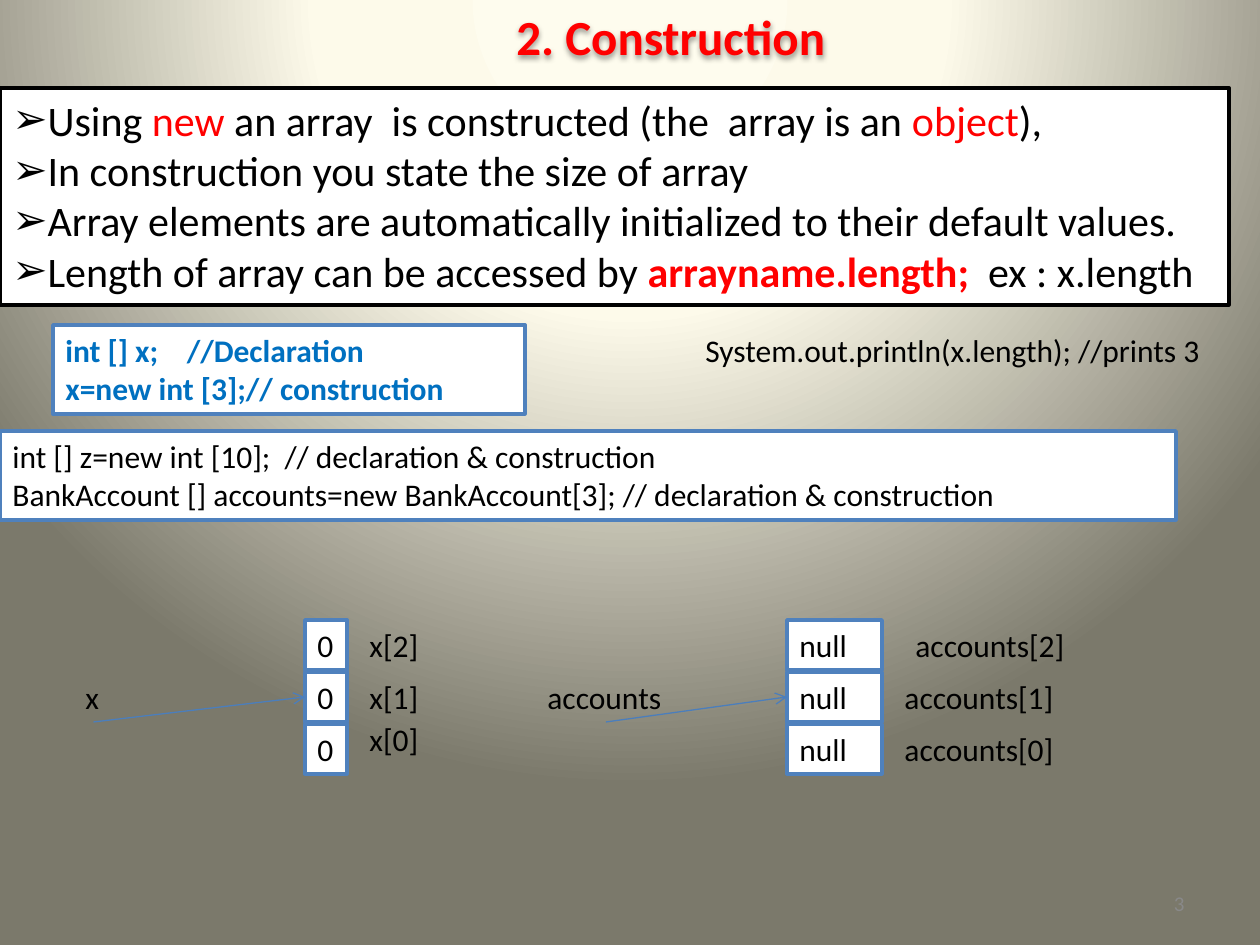
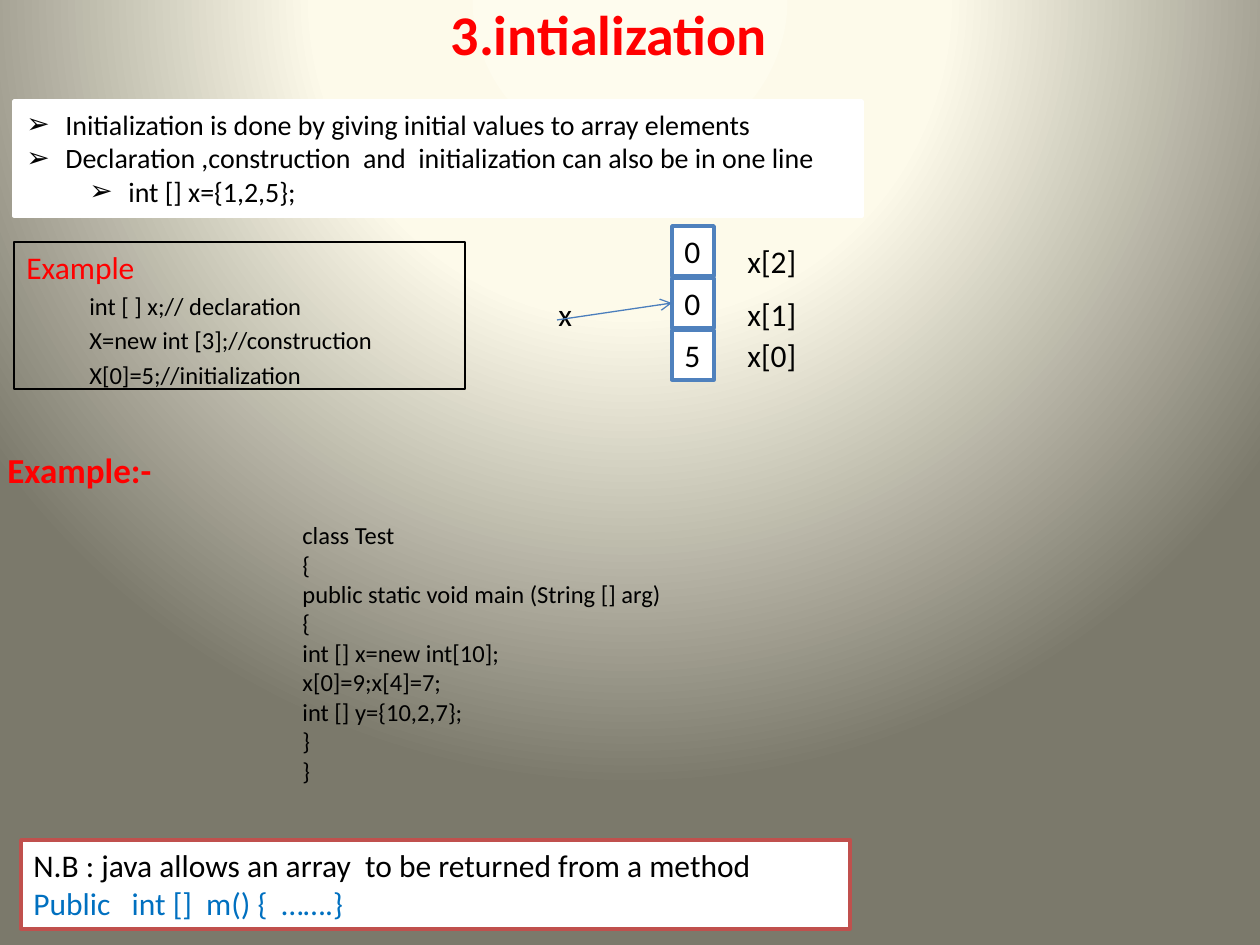
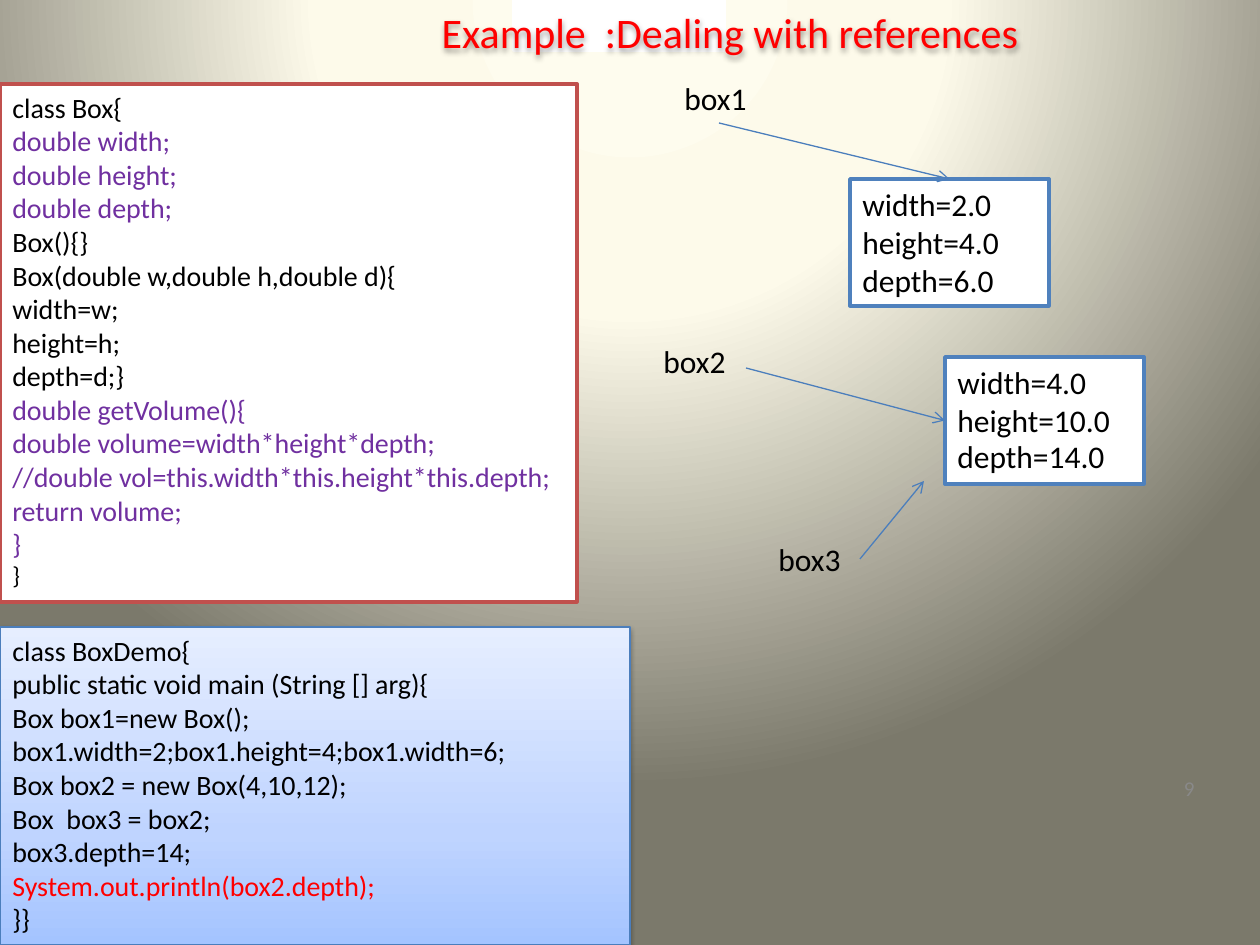
from pptx import Presentation
from pptx.dml.color import RGBColor
from pptx.enum.shapes import MSO_CONNECTOR, MSO_SHAPE
from pptx.enum.text import MSO_ANCHOR, PP_ALIGN
from pptx.oxml import parse_xml
from pptx.oxml.ns import nsdecls, qn
from pptx.util import Pt

PX = 7257.14
FONT = "Calibri"
BLACK = RGBColor(0x00, 0x00, 0x00)
WHITE = RGBColor(0xFF, 0xFF, 0xFF)
RED = RGBColor(0xFF, 0x00, 0x00)
CODE_BLUE = RGBColor(0x00, 0x70, 0xC0)
PURPLE = RGBColor(0x70, 0x30, 0xA0)
EDGE_BLUE = RGBColor(0x4F, 0x81, 0xBD)
EDGE_RED = RGBColor(0xC0, 0x50, 0x4D)
ARROW_BLUE = RGBColor(0x4B, 0x7E, 0xBC)
NUMBER_GRAY = RGBColor(0x89, 0x89, 0x89)
BACKDROP_STOPS = [
    (0, RGBColor(0xFE, 0xFC, 0xEE)),
    (40, RGBColor(0xFD, 0xFA, 0xEA)),
    (100, RGBColor(0x7B, 0x79, 0x6B)),
]
BACKDROP_PATH = (
    '<a:path path="circle">'
    '<a:fillToRect l="50000" t="-80000" r="50000" b="180000"/></a:path>'
)
DEMO_STOPS = [
    (0, RGBColor(0xA4, 0xC4, 0xFF)),
    (35, RGBColor(0xBF, 0xD4, 0xFF)),
    (100, RGBColor(0xE6, 0xEE, 0xFF)),
]
UPWARD = '<a:lin ang="16200000" scaled="0"/>'
TOP, LEFT, BOTTOM, RIGHT = range(4)
CELL_HEIGHT, CELL_PITCH = 50, 52


def emu(px):
    return round(px * PX)


def set_gradient(fill, element, stops, direction):
    fill.gradient()
    marks = "".join(
        f'<a:gs pos="{at * 1000}"><a:srgbClr val="{color}"/></a:gs>' for at, color in stops
    )
    plain = element.find(".//" + qn("a:gradFill"))
    plain.getparent().replace(plain, parse_xml(
        f'<a:gradFill {nsdecls("a")} rotWithShape="1">'
        f"<a:gsLst>{marks}</a:gsLst>{direction}</a:gradFill>"
    ))


def add_slide(deck):
    slide = deck.slides.add_slide(deck.slide_layouts[6])
    set_gradient(slide.background.fill, slide.element, BACKDROP_STOPS, BACKDROP_PATH)
    return slide


def add_shadow(shape):
    shape.shadow.inherit = False
    shape.element.spPr.find(qn("a:effectLst")).append(parse_xml(
        f'<a:outerShdw {nsdecls("a")} blurRad="39400" dist="20300" dir="5400000" '
        'rotWithShape="0"><a:srgbClr val="000000"><a:alpha val="38000"/>'
        "</a:srgbClr></a:outerShdw>"
    ))


def write(shape, lines, size=18, color=BLACK, bold=False, align=PP_ALIGN.LEFT):
    frame = shape.text_frame
    frame.word_wrap = True
    frame.vertical_anchor = MSO_ANCHOR.TOP
    for index, line in enumerate(lines):
        paragraph = frame.paragraphs[0] if index == 0 else frame.add_paragraph()
        paragraph.alignment = align
        for part in [(line,)] if isinstance(line, str) else line:
            words, *style = part
            tint, heavy, points = style + [color, bold, size][len(style):]
            run = paragraph.add_run()
            run.text = words
            run.font.name = FONT
            run.font.size = Pt(points)
            run.font.bold = heavy
            run.font.color.rgb = tint


def add_label(slide, at, *lines, **style):
    label = slide.shapes.add_textbox(*map(emu, at))
    write(label, lines, **style)
    return label


def add_box(slide, at, *lines, fill=WHITE, edge=EDGE_BLUE, width=2, **style):
    box = slide.shapes.add_shape(MSO_SHAPE.RECTANGLE, *map(emu, at))
    box.shadow.inherit = False
    if fill is None:
        box.fill.background()
    else:
        box.fill.solid()
        box.fill.fore_color.rgb = fill
    box.line.color.rgb = edge
    box.line.width = Pt(width)
    write(box, lines, **style)
    return box


def indent(paragraph, margin, hanging, bullet=False):
    properties = paragraph._p.get_or_add_pPr()
    properties.set("marL", str(emu(margin)))
    properties.set("indent", str(emu(-hanging)))
    if bullet:
        properties.append(parse_xml(f'<a:buFont {nsdecls("a")} typeface="{FONT}"/>'))
        properties.append(parse_xml(f'<a:buChar {nsdecls("a")} char="➢"/>'))


def add_arrow(slide, start, target, site=None, start_site=None):
    begin = (0, 0) if start_site is not None else start
    end = (0, 0) if site is not None else target
    arrow = slide.shapes.add_connector(MSO_CONNECTOR.STRAIGHT, *map(emu, begin + end))
    if start_site is not None:
        arrow.begin_connect(start, start_site)
    if site is not None:
        arrow.end_connect(target, site)
    arrow.line.color.rgb = ARROW_BLUE
    arrow.line.width = Pt(0.75)
    properties = arrow.element.spPr
    properties.find(qn("a:ln")).append(parse_xml(f'<a:tailEnd {nsdecls("a")} type="arrow"/>'))
    properties.append(parse_xml(f'<a:effectLst {nsdecls("a")}/>'))


def add_array(slide, left, top, width, values):
    return [
        add_box(slide, (left, top + row * CELL_PITCH, width, CELL_HEIGHT), value)
        for row, value in enumerate(values)
    ]


def add_index_labels(slide, array, width, places):
    for row, (left, top) in enumerate(places):
        add_label(slide, (left, top, width, CELL_HEIGHT), f"{array}[{2 - row}]")


def add_number(slide, left, top, number):
    add_label(slide, (left, top, 97, 38), number,
              size=12, color=NUMBER_GRAY, align=PP_ALIGN.RIGHT)


def build_construction(deck):
    slide = add_slide(deck)
    add_shadow(add_label(slide, (504, 0, 410, 72), "2. Construction",
                         size=28, color=RED, bold=True))
    rules = add_box(
        slide, (0, 88, 1229, 217),
        [("Using ",), ("new", RED), (" an array  is constructed (the  array is an ",),
         ("object", RED), ("),",)],
        "In construction you state the size of array",
        "Array elements are automatically initialized to their default values.",
        [("Length of array can be accessed by ",), ("arrayname.length;  ", RED, True),
         ("ex : x.length",)],
        edge=BLACK, size=24)
    for rule in rules.text_frame.paragraphs:
        indent(rule, 0, 0, bullet=True)

    x_name = add_label(slide, (73, 672, 41, 50), "x")
    x_cells = add_array(slide, 305, 620, 42, ["0"] * 3)
    add_arrow(slide, x_name, x_cells[1], LEFT, BOTTOM)
    accounts_name = add_label(slide, (535, 672, 142, 50), "accounts")
    accounts_cells = add_array(slide, 787, 620, 95, ["null"] * 3)
    add_arrow(slide, accounts_name, accounts_cells[1], LEFT, BOTTOM)
    add_index_labels(slide, "x", 84, [(357, 620), (357, 672), (357, 714)])
    add_index_labels(slide, "accounts", 210, [(903, 620), (892, 672), (892, 724)])

    add_box(slide, (0, 431, 1176, 89),
            "int [] z=new int [10];  // declaration & construction",
            "BankAccount [] accounts=new BankAccount[3]; // declaration & construction")
    add_box(slide, (53, 325, 472, 89),
            "int [] x;    //Declaration", "x=new int [3];// construction",
            color=CODE_BLUE, bold=True)
    add_label(slide, (693, 325, 525, 50), "System.out.println(x.length); //prints 3")
    add_number(slide, 1100, 884, "3")


def build_initialization(deck):
    slide = add_slide(deck)
    title = add_label(slide, (42, 0, 1134, 67), "3.intialization",
                      size=32, color=RED, bold=True, align=PP_ALIGN.CENTER)
    title.text_frame.vertical_anchor = MSO_ANCHOR.MIDDLE

    example = add_box(
        slide, (14, 242, 451, 147),
        [("Example", RED, False, 18)],
        "int [ ] x;// declaration", "X=new int [3];//construction", "X[0]=5;//initialization",
        fill=None, edge=BLACK, width=0.75, size=14)
    for step in example.text_frame.paragraphs[1:]:
        indent(step, 63, 0)
        step.space_before = Pt(2.8)

    add_label(slide, (546, 289, 41, 50), "x")
    cells = add_array(slide, 672, 226, 42, ["0", "0", "5"])
    add_arrow(slide, (557, 320), cells[1], LEFT)
    add_index_labels(slide, "x", 84, [(735, 236), (735, 289), (735, 330)])

    notes = add_box(
        slide, (14, 101, 848, 115),
        "Initialization is done by giving initial values to array elements",
        "Declaration ,construction  and  initialization can also be in one line",
        "int [] x={1,2,5};",
        edge=WHITE, size=16)
    for note, margin in zip(notes.text_frame.paragraphs, (39, 39, 102)):
        indent(note, margin, 39, bullet=True)

    add_box(slide, (21, 840, 829, 89),
            "N.B : java allows an array  to be returned from a method",
            [("Public   int []  m() {  …….}", CODE_BLUE)],
            edge=EDGE_RED)
    add_label(slide, (290, 514, 588, 280),
              "class Test", "{", "public static void main (String [] arg)", "{",
              "int [] x=new int[10];", "x[0]=9;x[4]=7;", "int [] y={10,2,7};", "}", "}",
              size=14)
    add_label(slide, (-5, 442, 294, 55), "Example:-", size=20, color=RED, bold=True)


def build_references(deck):
    slide = add_slide(deck)
    add_box(slide, (514, 0, 210, 50), edge=WHITE)
    add_box(
        slide, (0, 84, 577, 518),
        "class Box{",
        [("double width;", PURPLE)],
        [("double height;", PURPLE)],
        [("double depth;", PURPLE)],
        "Box(){}", "Box(double w,double h,double d){", "width=w;", "height=h;", "depth=d;}",
        [("double getVolume(){", PURPLE)],
        [("double volume=width*height*depth;", PURPLE)],
        [("//double vol=this.width*this.height*this.depth;", PURPLE)],
        [("return volume;", PURPLE)],
        [("}", PURPLE)],
        [("}", BLACK, False, 14)],
        edge=EDGE_RED, size=16)

    box1 = add_label(slide, (672, 73, 94, 50), "box1")
    first_object = add_box(slide, (850, 179, 199, 127),
                           "width=2.0", "height=4.0", "depth=6.0")
    add_arrow(slide, box1, first_object, TOP, BOTTOM)

    add_label(slide, (651, 336, 94, 50), "box2")
    second_object = add_box(slide, (945, 357, 199, 127), "width=4.0", "height=10.0")
    add_label(slide, (945, 431, 174, 50), "depth=14.0")
    add_arrow(slide, (746, 368), second_object, LEFT)

    box3 = add_label(slide, (766, 534, 94, 50), "box3")
    add_arrow(slide, box3, (924, 481), start_site=RIGHT)

    add_shadow(add_label(slide, (399, 0, 662, 63), "Example  :Dealing with references",
                         size=24, color=RED, align=PP_ALIGN.CENTER))
    demo = add_box(
        slide, (0, 627, 630, 318),
        "class BoxDemo{", "public static void main (String [] arg){",
        "Box box1=new Box();", "box1.width=2;box1.height=4;box1.width=6;",
        "Box box2 = new Box(4,10,12);", "Box  box3 = box2;", "box3.depth=14;",
        [("System.out.println(box2.depth);", RED)],
        "}}",
        edge=ARROW_BLUE, width=0.75, size=16)
    set_gradient(demo.fill, demo.element, DEMO_STOPS, UPWARD)
    add_shadow(demo)
    add_number(slide, 1110, 769, "9")


def main():
    deck = Presentation()
    deck.slide_width, deck.slide_height = emu(1260), emu(945)
    build_construction(deck)
    build_initialization(deck)
    build_references(deck)
    deck.save("out.pptx")


if __name__ == "__main__":
    main()
